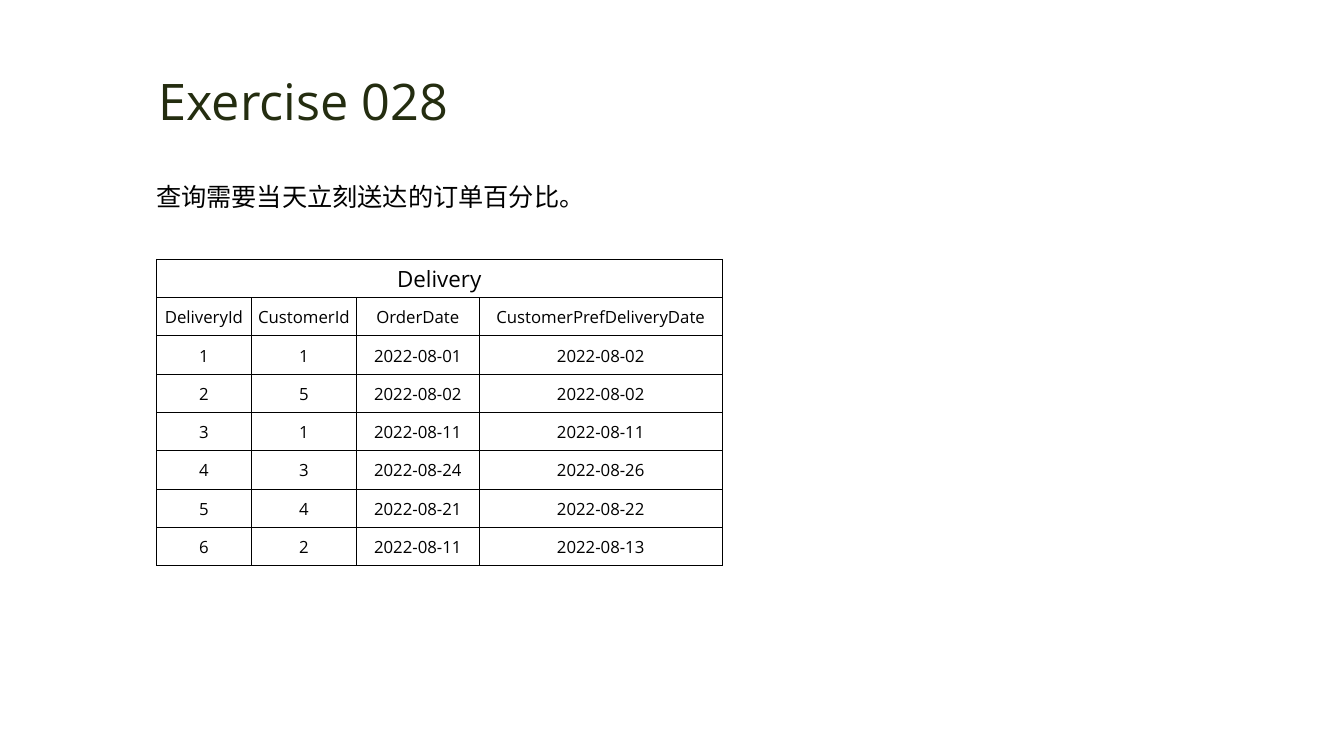
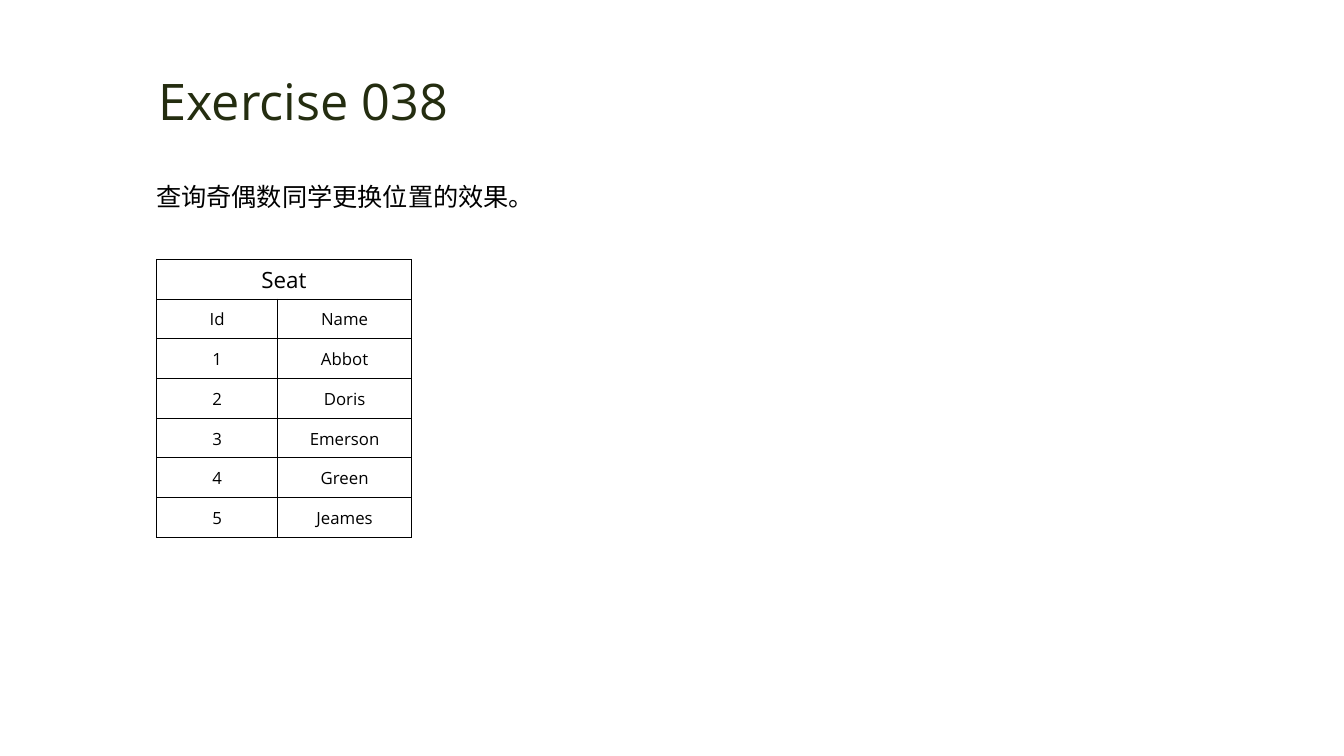
from lxml.etree import SubElement as Sub
from pptx import Presentation as Deck
from pptx.dml.color import RGBColor as Rgb
from pptx.enum.text import MSO_ANCHOR as Anchor, MSO_AUTO_SIZE as Fit, PP_ALIGN as Align
from pptx.oxml.ns import qn
from pptx.util import Cm, Pt

# Shared look
FONT, INK, OLIVE = "Open Sans", "000000", "242D10"
HEAD = {
    "place": dict(left=Cm(3.53), top=Cm(1.63), width=Cm(8.23), height=Cm(1.8)),
    "frame": dict(word_wrap=False, auto_size=Fit.NONE, vertical_anchor=Anchor.MIDDLE),
    "para": dict(alignment=Align.CENTER),
    "font": dict(size=Pt(36), name=FONT),
}
TASK = {
    "place": dict(left=Cm(3.68), top=Cm(4.06), width=Cm(15.14), height=Cm(1.3)),
    "frame": dict(word_wrap=True, auto_size=Fit.SHAPE_TO_FIT_TEXT, vertical_anchor=Anchor.TOP),
    "para": dict(alignment=Align.LEFT, line_spacing=1.5, space_before=Pt(0)),
    "font": dict(size=Pt(18), name=FONT),
}
CELL = dict(vertical_anchor=Anchor.MIDDLE, margin_left=Cm(0.03),
            margin_right=Cm(0.03), margin_top=Cm(0.03), margin_bottom=0)

# Slide content: widths and height of each grid in centimetres
PAGES = [
    dict(title="Exercise 028", task="查询需要当天立刻送达的订单百分比。",
         name="Delivery", cols=[2.4, 2.64, 3.1, 6.12], high=7.72,
         rows=[
             ("DeliveryId", "CustomerId", "OrderDate", "CustomerPrefDeliveryDate"),
             ("1", "1", "2022-08-01", "2022-08-02"),
             ("2", "5", "2022-08-02", "2022-08-02"),
             ("3", "1", "2022-08-11", "2022-08-11"),
             ("4", "3", "2022-08-24", "2022-08-26"),
             ("5", "4", "2022-08-21", "2022-08-22"),
             ("6", "2", "2022-08-11", "2022-08-13"),
         ]),
    dict(title="Exercise 038", task="查询奇偶数同学更换位置的效果。",
         name="Seat", cols=[3.06, 3.37], high=7.01,
         rows=[("Id", "Name"), ("1", "Abbot"), ("2", "Doris"),
               ("3", "Emerson"), ("4", "Green"), ("5", "Jeames")]),
]


def put(item, vals):
    for key, val in vals.items():
        setattr(item, key, val)


def paint(color, tone):
    color.rgb = Rgb.from_string(tone)


deck = Deck()
deck.slide_width, deck.slide_height = Cm(33.87), Cm(19.05)

for page in PAGES:
    slide = deck.slides.add_slide(deck.slide_layouts[1])

    # Title and task
    body = slide.placeholders[1]
    for box, text, look, tone in ((slide.shapes.title, page["title"], HEAD, OLIVE),
                                  (body, page["task"], TASK, INK)):
        frame = box.text_frame
        frame.text = text
        para = frame.paragraphs[0]
        font = para.runs[0].font
        for item, part in ((box, "place"), (frame, "frame"), (para, "para"), (font, "font")):
            put(item, look[part])
        paint(font.color, tone)

    # The task has no bullet
    props = body.text_frame.paragraphs[0]._p.get_or_add_pPr()
    props.set("marL", "0")
    props.set("indent", "0")
    Sub(props, qn("a:buNone"))

    # Grid with a merged name row
    cols = page["cols"]
    rows = [(page["name"],) + ("",) * (len(cols) - 1)] + page["rows"]
    grid = slide.shapes.add_table(len(rows), len(cols), Cm(3.94), Cm(6.53),
                                  Cm(sum(cols)), Cm(page["high"])).table
    put(grid, dict(first_row=False, horz_banding=False))
    for col, wide in zip(grid.columns, cols):
        col.width = Cm(wide)
    grid.cell(0, 0).merge(grid.cell(0, len(cols) - 1))

    for r, row in enumerate(rows):
        for c, text in enumerate(row):
            cell = grid.cell(r, c)
            put(cell, CELL)
            props = cell._tc.get_or_add_tcPr()
            for side in ("lnL", "lnR", "lnT", "lnB"):
                line = Sub(props, qn("a:" + side), w=str(Pt(0.5)))
                Sub(Sub(line, qn("a:solidFill")), qn("a:srgbClr"), val=INK)
            cell.fill.background()
            para = cell.text_frame.paragraphs[0]
            para.alignment = Align.CENTER
            if text:
                run = para.add_run()
                run.text = text
                put(run.font, dict(name=FONT, size=Pt(12 if r else 16)))
                paint(run.font.color, INK)

deck.save("out.pptx")
